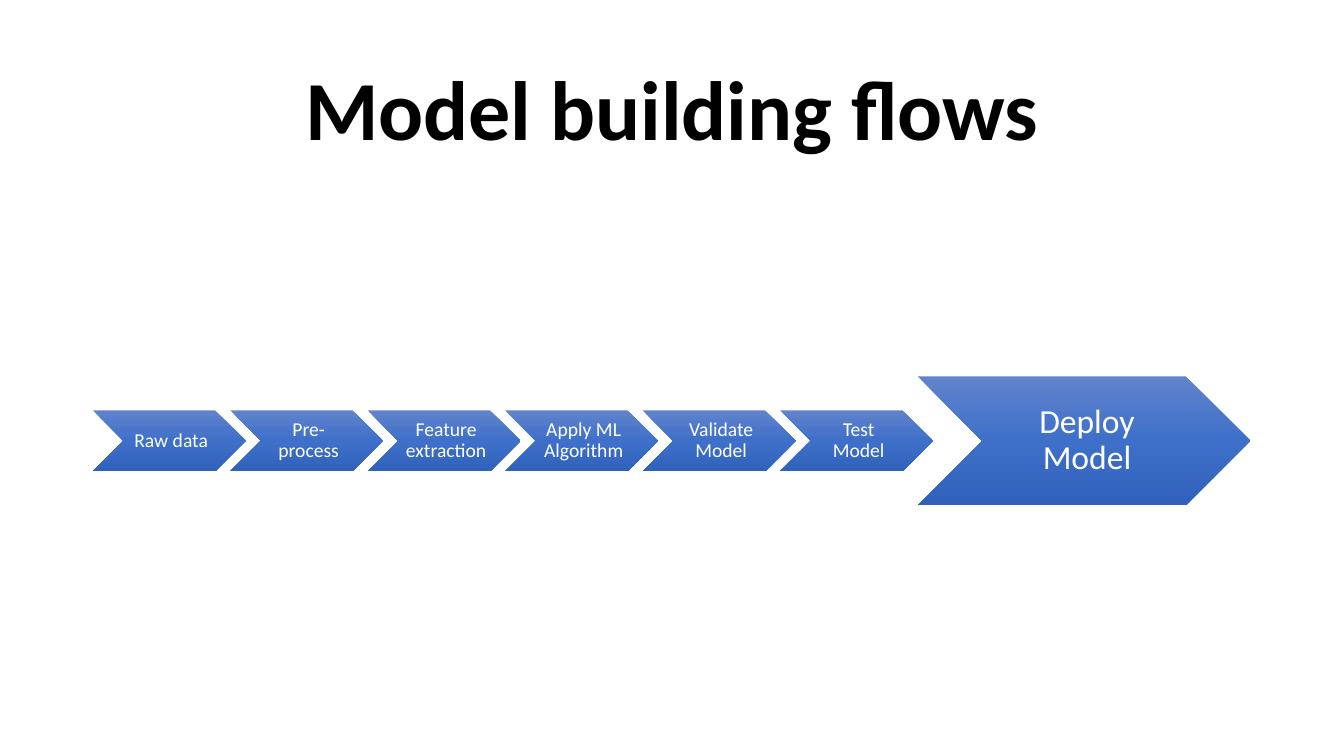
import copy

import pptx
import pptx.dml.color
import pptx.enum.shapes
import pptx.enum.text
from pptx.util import Cm

HEADING = "Model building flows"
STEPS = ["Raw data", "Pre-process", "Feature extraction", "Apply ML Algorithm",
         "Validate Model", "Test Model"]
OUTCOME = "Deploy Model"
GRADIENT = [(0, "6183CB"), (0.5, "3E70CA"), (1, "3062BB")]

FLOW_LEFT, FLOW_MIDDLE = 2.34, 11.11
STEP_SIZE = {"width": 3.85, "height": 1.54, "points": 14, "inset": 0.05, "left_inset": 0.15}
OUTCOME_SIZE = {"width": 8.38, "height": 3.25, "points": 24, "inset": 0.1, "left_inset": 0.25}
PITCH = STEP_SIZE["width"] * 0.9


def color(hex_value):
    return pptx.dml.color.RGBColor.from_string(hex_value)


def apply(target, values):
    for key, value in values.items():
        setattr(target, key, value)


def write(frame, text, points, hex_value, bold, insets):
    frame.text = text
    apply(frame, {"word_wrap": True,
                  "auto_size": pptx.enum.text.MSO_AUTO_SIZE.NONE,
                  "vertical_anchor": pptx.enum.text.MSO_ANCHOR.MIDDLE, **insets})
    paragraph = frame.paragraphs[0]
    apply(paragraph, {"alignment": pptx.enum.text.PP_ALIGN.CENTER, "line_spacing": 0.9})
    font = paragraph.runs[0].font
    apply(font, {"name": "Calibri", "size": pptx.util.Pt(points), "bold": bold})
    font.color.rgb = color(hex_value)


def shade(chevron):
    fill = chevron.fill
    fill.gradient()
    fill.gradient_angle = 270
    stop_list = chevron._element.spPr.xpath("./a:gradFill/a:gsLst")[0]
    stop_list.append(copy.deepcopy(stop_list[-1]))
    for stop, (position, hex_value) in zip(fill.gradient_stops, GRADIENT):
        stop.position = position
        stop.color.rgb = color(hex_value)


def add_stage(slide, text, left, size):
    chevron = slide.shapes.add_shape(
        pptx.enum.shapes.MSO_SHAPE.CHEVRON, Cm(left), Cm(FLOW_MIDDLE - size["height"] / 2),
        Cm(size["width"]), Cm(size["height"]))
    chevron.shadow.inherit = False
    chevron.line.fill.background()
    shade(chevron)
    insets = {f"margin_{side}": Cm(size["inset"]) for side in ("top", "right", "bottom")}
    insets["margin_left"] = Cm(size["left_inset"])
    write(chevron.text_frame, text, size["points"], "FFFFFF", False, insets)


deck = pptx.Presentation()
apply(deck, {"slide_width": Cm(33.87), "slide_height": Cm(19.05)})
slide = deck.slides.add_slide(deck.slide_layouts[5])

heading = slide.shapes.title
apply(heading, {"left": Cm(2.33), "top": Cm(1.01), "width": Cm(29.21), "height": Cm(3.68)})
write(heading.text_frame, HEADING, 60, "000000", True, {})

for index, step in enumerate(STEPS):
    add_stage(slide, step, FLOW_LEFT + index * PITCH, STEP_SIZE)
add_stage(slide, OUTCOME, FLOW_LEFT + len(STEPS) * PITCH, OUTCOME_SIZE)

deck.save("out.pptx")
